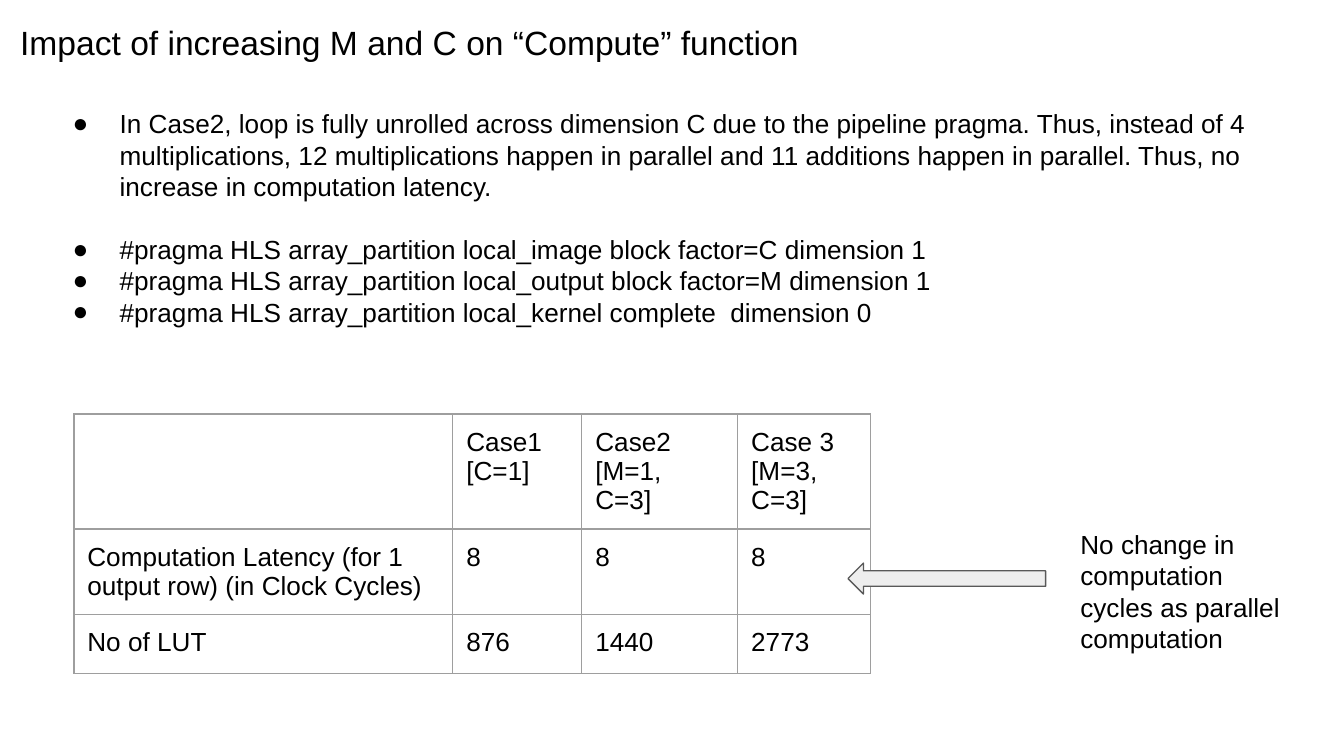
from dataclasses import dataclass

from lxml import etree
from pptx import Presentation
from pptx import util as u
from pptx.dml.color import RGBColor
from pptx.enum import shapes, text
from pptx.oxml.ns import qn

PX = 9144


@dataclass(frozen=True)
class Theme:
    font: str = "Arial"
    title_size: int = 18
    body_size: int = 14
    ink: str = "000000"
    grid: str = "9E9E9E"
    arrow_fill: str = "EEEEEE"
    arrow_line: str = "595959"
    hairline: float = 0.75
    inset: int = 10


THEME = Theme()

TITLE = "Impact of increasing M and C on “Compute” function"
FINDINGS = [
    "In Case2, loop is fully unrolled across dimension C due to the pipeline pragma. "
    "Thus, instead of 4 multiplications, 12 multiplications happen in parallel and "
    "11 additions happen in parallel. Thus, no increase in computation latency.",
    "#pragma HLS array_partition local_image block factor=C dimension 1",
    "#pragma HLS array_partition local_output block factor=M dimension 1",
    "#pragma HLS array_partition local_kernel complete  dimension 0",
]
CASES = [
    ["", "Case1\n[C=1]", "Case2\n[M=1, C=3]", "Case 3\n[M=3, C=3]"],
    ["Computation Latency (for 1 output row) (in Clock Cycles)", "8", "8", "8"],
    ["No of LUT", "876", "1440", "2773"],
]
CASE_WIDTHS = [282, 96, 116, 99]
CASE_HEIGHTS = [76, 57, 44]
REMARK = "No change in computation cycles as parallel computation"


def px(*lengths):
    return [u.Emu(length * PX) for length in lengths]


def color(code):
    return RGBColor.from_string(code)


def place(part, box):
    part.left, part.top, part.width, part.height = px(*box)


def set_insets(part):
    inset = px(THEME.inset)[0]
    part.margin_left = part.margin_top = inset
    part.margin_right = part.margin_bottom = inset


def style(paragraph, size):
    paragraph.alignment = text.PP_ALIGN.LEFT
    paragraph.line_spacing = 1.0
    paragraph.space_before = paragraph.space_after = u.Pt(0)
    paragraph.font.name = THEME.font
    paragraph.font.size = u.Pt(size)
    paragraph.font.color.rgb = color(THEME.ink)


def write(frame, content, size):
    frame.text = content
    frame.word_wrap = True
    frame.auto_size = text.MSO_AUTO_SIZE.NONE
    frame.vertical_anchor = text.MSO_ANCHOR.TOP
    set_insets(frame)
    for paragraph in frame.paragraphs:
        style(paragraph, size)


def add_bullet(paragraph):
    props = paragraph._p.get_or_add_pPr()
    indent, hanging = px(50, -35)
    props.set("marL", str(indent))
    props.set("indent", str(hanging))
    bullet_color = etree.Element(qn("a:buClr"))
    etree.SubElement(bullet_color, qn("a:srgbClr"), val=THEME.ink)
    font = etree.Element(qn("a:buFont"), typeface=THEME.font)
    mark = etree.Element(qn("a:buChar"), char="●")
    run_defaults = props.find(qn("a:defRPr"))
    for part in (bullet_color, font, mark):
        run_defaults.addprevious(part)


def add_findings(body):
    place(body, (29, 70, 944, 97))
    write(body.text_frame, "\n".join(FINDINGS), THEME.body_size)
    paragraphs = body.text_frame.paragraphs
    for paragraph in paragraphs:
        add_bullet(paragraph)
    paragraphs[0].space_after = u.Pt(17)


def outline_cell(cell):
    props = cell._tc.get_or_add_tcPr()
    for position, side in enumerate(("lnL", "lnR", "lnT", "lnB")):
        line = etree.Element(qn("a:" + side), w=str(u.Pt(THEME.hairline)))
        fill = etree.SubElement(line, qn("a:solidFill"))
        etree.SubElement(fill, qn("a:srgbClr"), val=THEME.grid)
        props.insert(position, line)


def add_cases(slide):
    box = px(55, 308, sum(CASE_WIDTHS), sum(CASE_HEIGHTS))
    cases = slide.shapes.add_table(len(CASES), len(CASES[0]), *box).table
    cases.first_row = cases.horz_banding = False
    for column, width in zip(cases.columns, px(*CASE_WIDTHS)):
        column.width = width
    for row, height, values in zip(cases.rows, px(*CASE_HEIGHTS), CASES):
        row.height = height
        for cell, value in zip(row.cells, values):
            cell.text = value
            cell.fill.background()
            set_insets(cell)
            outline_cell(cell)
            for paragraph in cell.text_frame.paragraphs:
                style(paragraph, THEME.body_size)


def add_arrow(slide, box):
    arrow = slide.shapes.add_shape(shapes.MSO_SHAPE.LEFT_ARROW, *px(*box))
    arrow.shadow.inherit = False
    arrow.fill.solid()
    arrow.fill.fore_color.rgb = color(THEME.arrow_fill)
    arrow.line.color.rgb = color(THEME.arrow_line)
    arrow.line.width = u.Pt(THEME.hairline)


def add_remark(slide, box):
    remark = slide.shapes.add_textbox(*px(*box))
    write(remark.text_frame, REMARK, THEME.body_size)


def main():
    deck = Presentation()
    deck.slide_width = px(1000)[0]
    deck.slide_height = u.Emu(deck.slide_width * 9 // 16)
    slide = deck.slides.add_slide(deck.slide_layouts[1])
    title, body = slide.placeholders
    place(title, (5, 6, 932, 63))
    write(title.text_frame, TITLE, THEME.title_size)
    add_cases(slide)
    add_findings(body)
    add_arrow(slide, (631, 419, 147, 23))
    add_remark(slide, (794, 383, 184, 79))
    deck.save("out.pptx")


if __name__ == "__main__":
    main()
